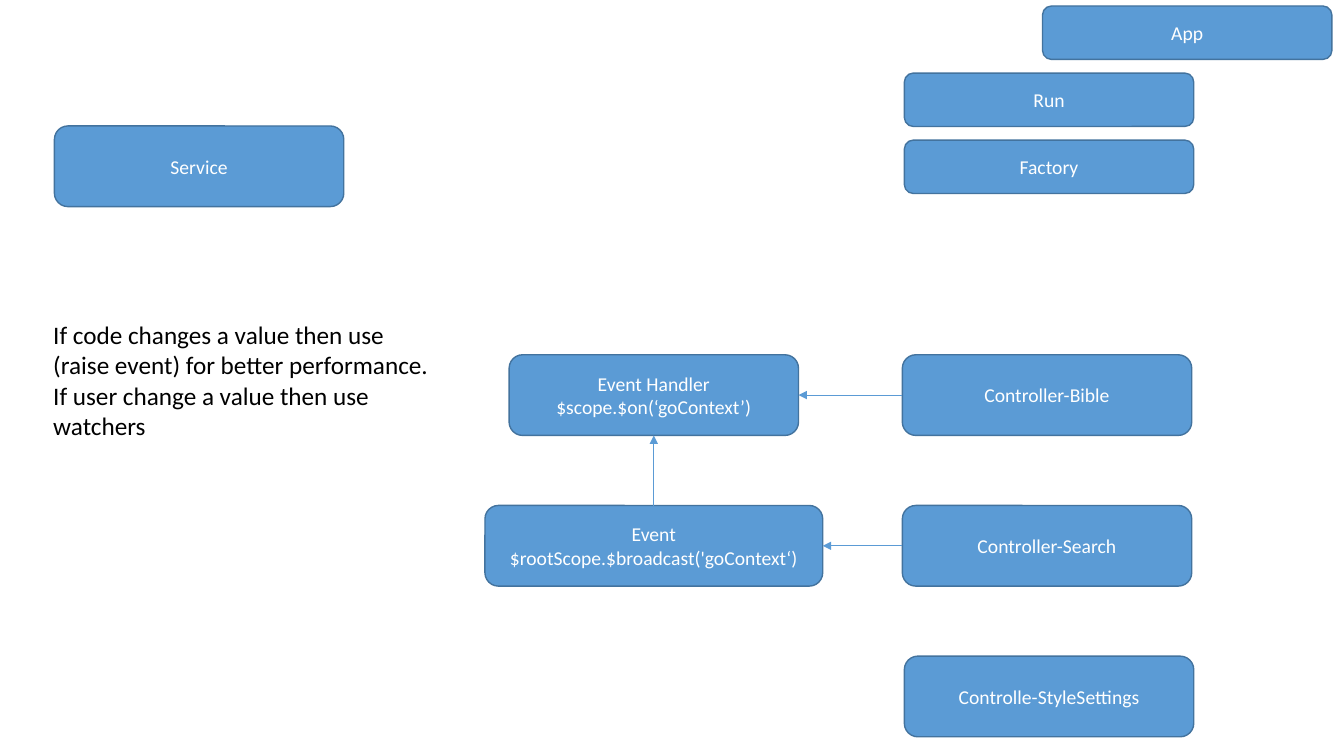
from lxml.etree import SubElement
from pptx import Presentation
from pptx.dml.color import RGBColor
from pptx.enum.shapes import MSO_CONNECTOR, MSO_SHAPE
from pptx.enum.text import MSO_ANCHOR, MSO_AUTO_SIZE, PP_ALIGN
from pptx.oxml.ns import qn
from pptx.util import Inches, Pt

# Content: name -> (lines, column, row)
BOXES = {
    "handler": (["Event Handler", "$scope.$on(‘goContext’)"], "events", "bible"),
    "event": (["Event", "$rootScope.$broadcast('goContext‘)"], "broadcast", "search"),
    "factory": (["Factory"], "setup", "factory"),
    "service": (["Service"], "service", "service"),
    "bible": (["Controller-Bible"], "controllers", "bible"),
    "app": (["App"], "app", "app"),
    "run": (["Run"], "setup", "run"),
    "search": (["Controller-Search"], "controllers", "search"),
    "style": (["Controlle-StyleSettings"], "setup", "style"),
}
NOTE = [
    "If code changes a value then use (raise event) for better performance.",
    "If user change a value then use watchers",
]
TOP, LEFT, BOTTOM, RIGHT = range(4)
ARROWS = [
    ("search", LEFT, "event", RIGHT),
    ("bible", LEFT, "handler", RIGHT),
    ("event", TOP, "handler", BOTTOM),
]

# Grid in inches: columns are (left, width), rows are (top, height)
BOX_WIDTH, TALL, SHORT = 2.87, 0.8, 0.53
COLUMNS = {
    "service": (0.54, BOX_WIDTH),
    "broadcast": (4.81, 3.35),
    "events": (5.05, BOX_WIDTH),
    "controllers": (8.95, BOX_WIDTH),
    "setup": (8.97, BOX_WIDTH),
    "app": (10.34, BOX_WIDTH),
}
ROWS = {name: (0.06 + 0.665 * i, SHORT)
        for i, name in enumerate(["app", "run", "factory"])}
ROWS["service"] = (1.25, TALL)
ROWS.update({name: (3.52 + 1.495 * i, TALL)
             for i, name in enumerate(["bible", "search", "style"])})


def color(value):
    return RGBColor.from_string(value)


def write(frame, lines, size, font_color, alignment):
    frame.word_wrap = True
    frame.text = "\n".join(lines)
    for paragraph in frame.paragraphs:
        paragraph.alignment = alignment
        paragraph.font.name = "Calibri"
        paragraph.font.size = Pt(size)
        paragraph.font.color.rgb = color(font_color)


def add_box(slide, lines, column, row):
    (left, width), (top, height) = COLUMNS[column], ROWS[row]
    shape = slide.shapes.add_shape(
        MSO_SHAPE.ROUNDED_RECTANGLE, *map(Inches, (left, top, width, height)))
    shape.shadow.inherit = False
    shape.fill.solid()
    shape.fill.fore_color.rgb = color("5B9BD5")
    shape.line.color.rgb = color("43739E")
    shape.line.width = Pt(1)
    shape.text_frame.vertical_anchor = MSO_ANCHOR.MIDDLE
    write(shape.text_frame, lines, 14, "FFFFFF", PP_ALIGN.CENTER)
    return shape


def add_arrow(slide, start, start_side, end, end_side):
    connector = slide.shapes.add_connector(MSO_CONNECTOR.STRAIGHT, 0, 0, 0, 0)
    connector.begin_connect(start, start_side)
    connector.end_connect(end, end_side)
    connector.line.color.rgb = color("5B9BD5")
    connector.line.width = Pt(0.5)
    properties = connector._element.spPr
    SubElement(properties.find(qn("a:ln")), qn("a:tailEnd"), type="triangle")
    SubElement(properties, qn("a:effectLst"))


def main():
    presentation = Presentation()
    presentation.slide_width = Inches(13.33)
    presentation.slide_height = Inches(7.5)
    slide = presentation.slides.add_slide(presentation.slide_layouts[6])

    # Boxes and the arrows that join them
    shapes = {name: add_box(slide, *box) for name, box in BOXES.items()}
    for start, start_side, end, end_side in ARROWS:
        add_arrow(slide, shapes[start], start_side, shapes[end], end_side)

    # Advice on the left
    note = slide.shapes.add_textbox(*map(Inches, (0.43, 3.12, 3.96, 1.31)))
    write(note.text_frame, NOTE, 18, "000000", PP_ALIGN.LEFT)
    note.text_frame.auto_size = MSO_AUTO_SIZE.SHAPE_TO_FIT_TEXT

    presentation.save("out.pptx")


if __name__ == "__main__":
    main()
